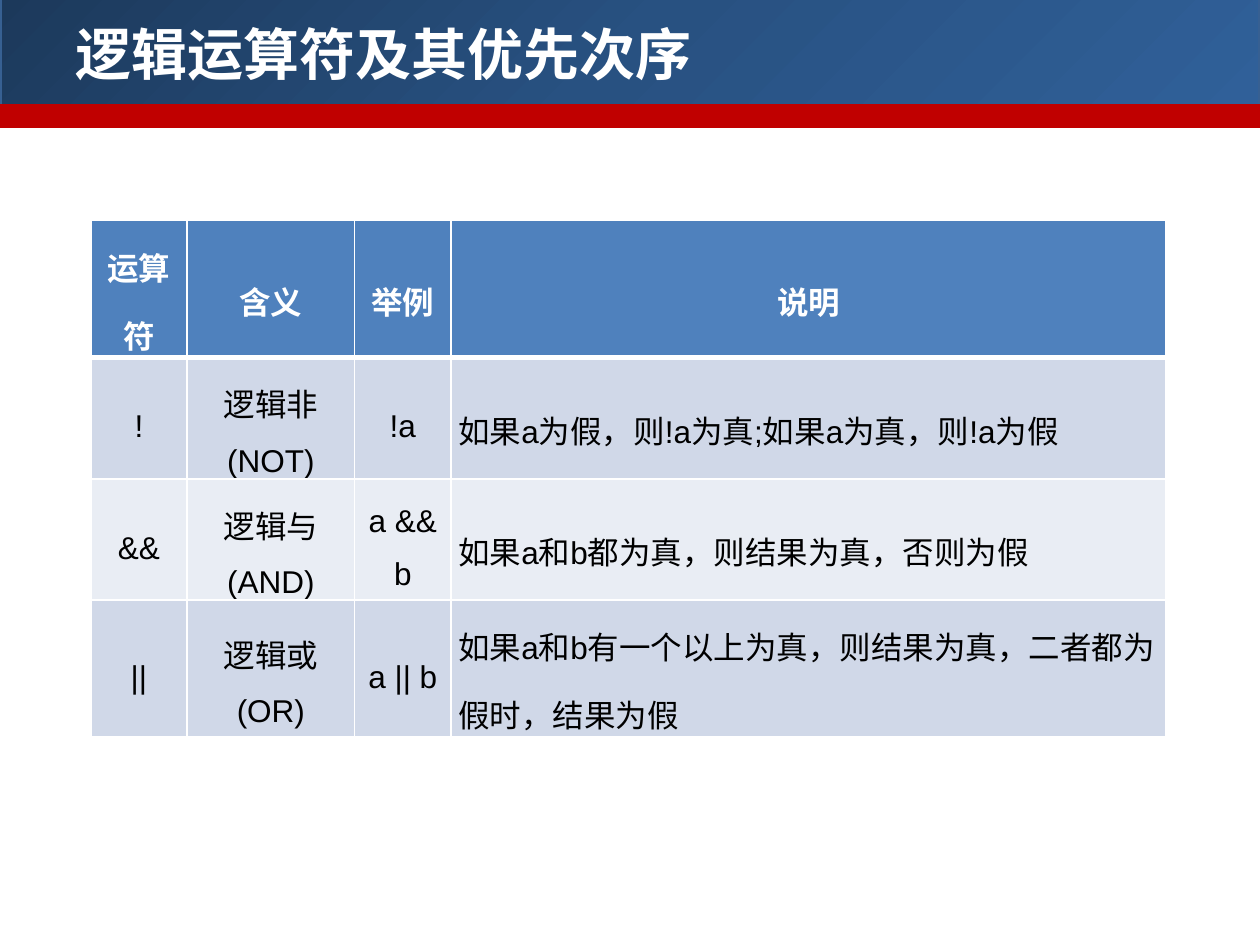
from copy import deepcopy
from dataclasses import dataclass

from lxml.etree import SubElement
from pptx import Presentation
from pptx.dml.color import RGBColor
from pptx.enum.shapes import MSO_SHAPE
from pptx.enum.text import MSO_ANCHOR, PP_ALIGN
from pptx.oxml.ns import qn
from pptx.util import Cm, Pt


@dataclass(frozen=True)
class Theme:
    title_font: str = "Noto Sans CJK SC"
    body_font: str = "Arial"
    title_size: int = 32
    body_size: int = 18
    white: str = "FFFFFF"
    black: str = "000000"
    red: str = "C00000"
    banner_line: str = "376092"
    banner_stops: tuple = ((0, "1C395B"), (0.5, "285181"), (1, "306099"))
    header_fill: str = "4F81BD"
    row_fills: tuple = ("D0D8E8", "E9EDF4")


THEME = Theme()
TITLE = "逻辑运算符及其优先次序"
OPERATORS = (
    ("运算符", "含义", "举例", "说明"),
    ("!", "逻辑非(NOT)", "!a", "如果a为假，则!a为真;如果a为真，则!a为假"),
    ("&&", "逻辑与(AND)", "a && b", "如果a和b都为真，则结果为真，否则为假"),
    ("||", "逻辑或(OR)", "a || b", "如果a和b有一个以上为真，则结果为真，二者都为假时，结果为假"),
)
COLUMN_WIDTHS = (1.94, 3.38, 1.94, 14.42)


def color(value):
    return RGBColor.from_string(value)


def style_font(font, name, size, value, bold):
    font.name = name
    font.size = Pt(size)
    font.bold = bold
    font.color.rgb = color(value)


def fill_gradient(shape, stops):
    shape.fill.gradient()
    shape.fill.gradient_angle = 315
    stop_list = shape._element.spPr.find(qn("a:gradFill")).find(qn("a:gsLst"))
    stop_list.append(deepcopy(stop_list[-1]))
    for stop, (position, value) in zip(shape.fill.gradient_stops, stops):
        stop.position = position
        stop.color.rgb = color(value)


def add_band(slide, left, top, width, height, line):
    shape = slide.shapes.add_shape(
        MSO_SHAPE.RECTANGLE, Cm(left), Cm(top), Cm(width), Cm(height))
    shape.shadow.inherit = False
    shape.line.color.rgb = color(line)
    shape.line.width = Pt(2)
    slide.shapes.title._element.addprevious(shape._element)
    return shape


def build_banner(slide, left, top, width, height):
    stripe_height = 0.41
    banner = add_band(slide, left, top, width, height, THEME.banner_line)
    fill_gradient(banner, THEME.banner_stops)
    stripe = add_band(slide, left, top + height - 0.03, width, stripe_height, THEME.red)
    stripe.fill.solid()
    stripe.fill.fore_color.rgb = color(THEME.red)

    title = slide.shapes.title
    title.left, title.top = Cm(left + 1.27), Cm(top + 0.46)
    title.width, title.height = Cm(width - 1.98), Cm(1.5)
    title.text_frame.text = TITLE
    title.text_frame.vertical_anchor = MSO_ANCHOR.MIDDLE
    paragraph = title.text_frame.paragraphs[0]
    paragraph.alignment = PP_ALIGN.LEFT
    style_font(paragraph.font, THEME.title_font, THEME.title_size, THEME.white, True)


def set_borders(cell, bottom_width):
    properties = cell._tc.get_or_add_tcPr()
    widths = {"a:lnL": 1, "a:lnR": 1, "a:lnT": 1, "a:lnB": bottom_width}
    for index, (tag, width) in enumerate(widths.items()):
        line = SubElement(properties, qn(tag), w=str(Pt(width)))
        fill = SubElement(line, qn("a:solidFill"))
        SubElement(fill, qn("a:srgbClr"), val=THEME.white)
        properties.insert(index, line)


def style_cell(cell, text, fill, is_header, alignment):
    cell.fill.solid()
    cell.fill.fore_color.rgb = color(fill)
    cell.margin_left = cell.margin_right = Cm(0.15)
    cell.margin_top = cell.margin_bottom = 0
    cell.vertical_anchor = MSO_ANCHOR.MIDDLE
    set_borders(cell, 3 if is_header else 1)
    cell.text = text
    paragraph = cell.text_frame.paragraphs[0]
    paragraph.alignment = alignment
    paragraph.line_spacing = 1.5
    text_color = THEME.white if is_header else THEME.black
    style_font(paragraph.font, THEME.body_font, THEME.body_size, text_color, is_header)


def build_operator_table(slide, left, top, width, height):
    frame = slide.shapes.add_table(
        len(OPERATORS), len(COLUMN_WIDTHS), Cm(left), Cm(top), Cm(width), Cm(height))
    table = frame.table
    for column, column_width in zip(table.columns, COLUMN_WIDTHS):
        column.width = Cm(column_width)
    for row_index, (row, texts) in enumerate(zip(table.rows, OPERATORS)):
        row.height = Cm(1)
        is_header = row_index == 0
        fill = THEME.header_fill if is_header else THEME.row_fills[(row_index - 1) % 2]
        for column_index, text in enumerate(texts):
            is_description = column_index == len(texts) - 1 and not is_header
            alignment = PP_ALIGN.LEFT if is_description else PP_ALIGN.CENTER
            style_cell(row.cells[column_index], text, fill, is_header, alignment)
    frame.height = Cm(height)


def main():
    presentation = Presentation()
    presentation.slide_width, presentation.slide_height = Cm(25.4), Cm(19.05)
    slide = presentation.slides.add_slide(presentation.slide_layouts[5])
    build_banner(slide, 0, -0.13, 25.4, 2.29)
    build_operator_table(slide, 1.83, 4.45, sum(COLUMN_WIDTHS), 9.14)
    presentation.save("out.pptx")


if __name__ == "__main__":
    main()
